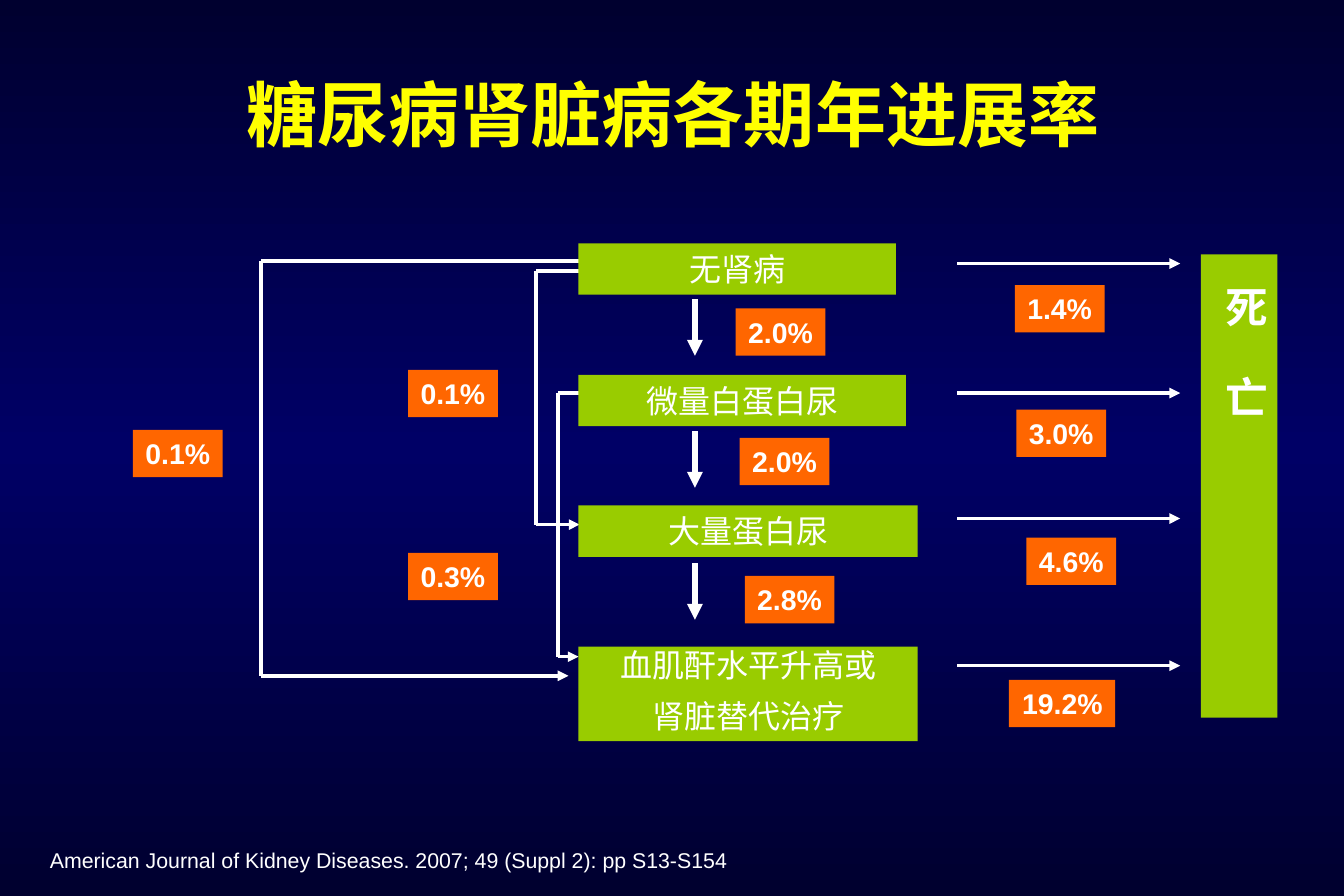
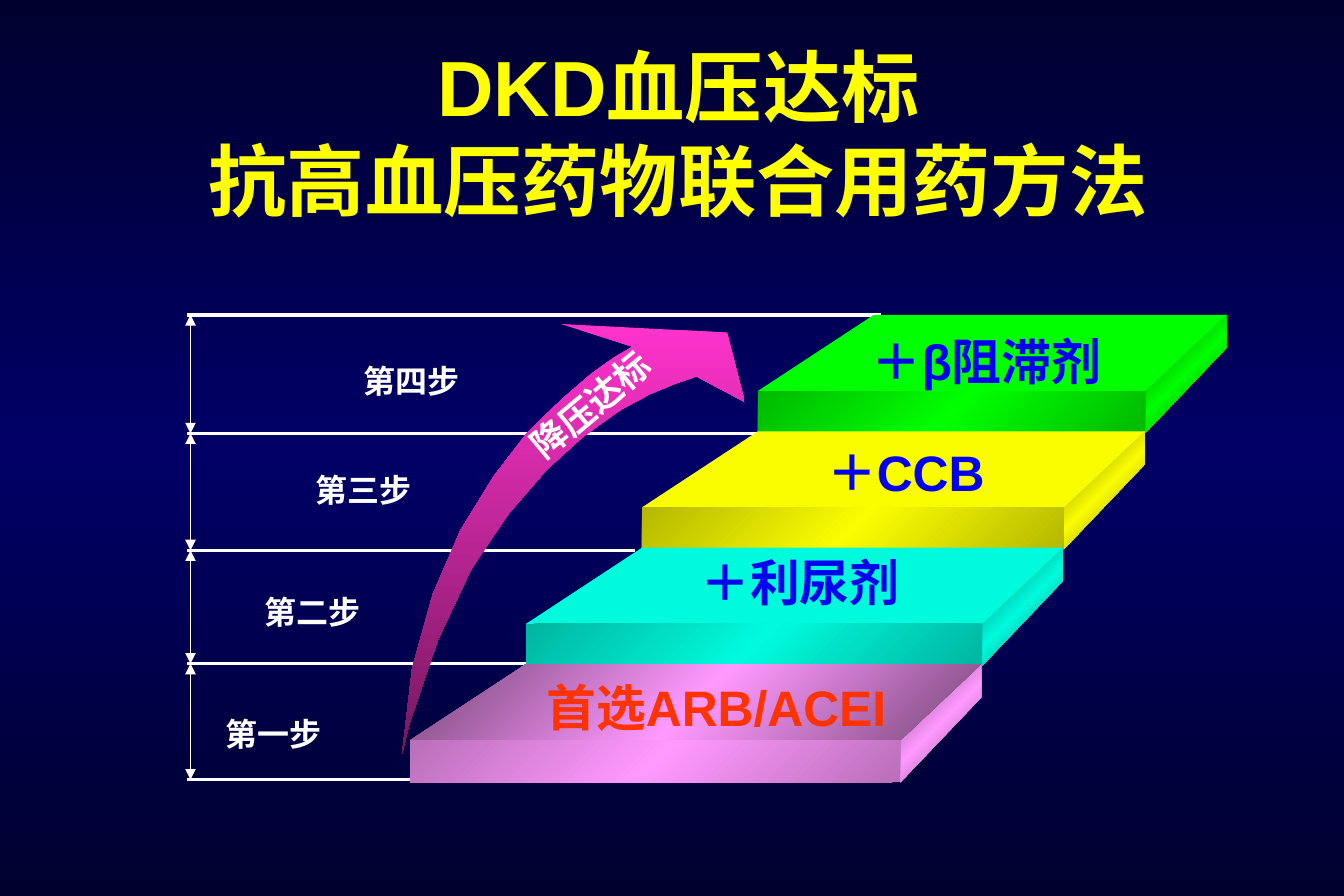
"""Build two slides on diabetic kidney disease: yearly progression and stepwise drug therapy."""
from copy import deepcopy

from lxml.etree import SubElement
from pptx import Presentation
from pptx.dml.color import RGBColor
from pptx.enum.shapes import MSO_CONNECTOR, MSO_SHAPE
from pptx.enum.text import MSO_ANCHOR, PP_ALIGN
from pptx.oxml.ns import qn
from pptx.util import Cm, Pt

HUES = {
    "night": "00002F", "navy": "000066", "white": "FFFFFF", "title": "FFFF00",
    "box": "99CC00", "badge": "FF6600", "first": "FF3300", "added": "0101EF",
    "arrow": "FF33CC", "plum": "76185E",
}
LEFT, MID, RIGHT = PP_ALIGN.LEFT, PP_ALIGN.CENTER, PP_ALIGN.RIGHT
FONTS = {
    "title": {"size": Pt(40), "bold": True},
    "large": {"size": Pt(44), "bold": True},
    "stage": {"size": Pt(18), "bold": False},
    "death": {"size": Pt(24), "bold": True},
    "badge": {"size": Pt(16), "bold": True},
    "note": {"size": Pt(12), "bold": False},
    "step": {"size": Pt(18), "bold": True},
    "drug": {"size": Pt(28), "bold": True},
    "goal": {"size": Pt(20), "bold": True},
}


def shade(fill, owner, hues, angle):
    """Fill with evenly spaced gradient stops, or with one solid colour."""
    if len(hues) == 1:
        fill.solid()
        fill.fore_color.rgb = RGBColor.from_string(hues[0])
        return
    fill.gradient()
    fill.gradient_angle = angle
    stops = owner.find(".//" + qn("a:gsLst"))
    for _ in hues[2:]:
        stops.append(deepcopy(stops[0]))
    for i, (stop, hue) in enumerate(zip(fill.gradient_stops, hues)):
        stop.color.rgb = RGBColor.from_string(hue)
        stop.position = i / (len(hues) - 1)


def write(slide, box, text, font, hue="white", align=MID, back=None):
    """Add a text box, or a filled box when a back colour is given."""
    place = [Cm(v) for v in box]
    if back:
        shape = slide.shapes.add_shape(MSO_SHAPE.RECTANGLE, *place)
        shape.shadow.inherit = False
        shade(shape.fill, shape.element, [HUES[back]], 0)
        shape.line.fill.background()
    else:
        shape = slide.shapes.add_textbox(*place)
    frame = shape.text_frame
    frame.word_wrap = True
    frame.vertical_anchor = MSO_ANCHOR.TOP
    frame.text = text
    for para in frame.paragraphs:
        para.alignment = align
        for run in para.runs:
            for key, value in {"name": "Arial", **FONTS[font]}.items():
                setattr(run.font, key, value)
            run.font.color.rgb = RGBColor.from_string(HUES[hue])
    return shape


deck = Presentation()
deck.slide_width, deck.slide_height = Cm(26.67), Cm(17.78)
rates, steps = [deck.slides.add_slide(deck.slide_layouts[6]) for _ in range(2)]
for slide in (rates, steps):
    shade(slide.background.fill, slide.element,
          [HUES["night"], HUES["navy"], HUES["night"]], 270)

blocks = [
    ("007600", "00FF00", "00B900"),
    ("747500", "FAFD00", "B5B800"),
    ("007466", "00FADC", "00B5A0"),
    ("764776", "FF99FF", "B96FB9"),
]
forms = []
for i, (dark, pure, dim) in enumerate(blocks):
    left, right, top = 15.04 - 2.3 * i, 22.73 - 1.62 * i, 6.25 + 2.31 * i
    edge, base, back = top + 1.51, top + 2.34, right + 1.6
    lid = [dark, pure, dark] if i == 3 else [pure]
    forms += [
        ([(back, top + 0.66), (right, base), (right, edge), (back, top)],
         [dark, pure, dark], 315),
        ([(right, edge), (left, edge), (left + 2.3, top), (back, top)], lid, 315),
        ([(left, edge), (right, edge), (right, base), (left, base)],
         [dim, pure, dim], 315),
    ]

lines = []
for x, top, bend, low, end in [
    (11.48, 5.18, 5.18, 13.41, 11.28),
    (11.48, 5.38, 10.64, 10.41, 11.5),
    (11.48, 7.8, 11.07, 13.03, 11.48),
]:
    lines += [
        (rates, x, top, bend, top, 2, ""),
        (rates, bend, top, bend, low, 2, ""),
        (rates, bend, low, end, low, 2, "tailEnd"),
    ]
for i in range(3):
    y = 5.94 + 2.62 * i
    lines.append((rates, 13.79, y, 13.79, y + 1.12, 3, "tailEnd"))
for y in (5.23, 7.8, 10.29, 13.21):
    lines.append((rates, 19, y, 23.42, y, 2, "tailEnd"))
levels = [6.25, 8.6, 10.92, 13.17, 15.47]
for top, low in zip(levels, levels[1:]):
    lines.append((steps, 3.78, top, 3.78, low, 0.75, "headEnd tailEnd"))
for y, end in zip(levels, (17.48, 15.06, 12.6, 10.57, 8.15)):
    lines.append((steps, 3.72, y, end, y, 0, ""))

curve = [
    (7.98, 14.96), (8.18, 13.26), (8.59, 11.79), (9.14, 10.52), (9.8, 9.45),
    (10.46, 8.59), (11.15, 7.92), (11.73, 7.42), (12.19, 7.09), (12.55, 6.88),
    (11.13, 6.43), (14.43, 6.6), (14.78, 7.98), (13.82, 7.47), (13.39, 7.62),
    (12.9, 7.82), (12.29, 8.15), (11.58, 8.66), (10.85, 9.32), (10.08, 10.21),
    (9.35, 11.3), (8.69, 12.7), (8.13, 14.35),
]

for slide, x, y, end, low, width, heads in lines:
    line = slide.shapes.add_connector(MSO_CONNECTOR.STRAIGHT, Cm(x), Cm(y), Cm(end), Cm(low))
    line.line.width = Pt(width)
    line.line.color.rgb = RGBColor.from_string(HUES["white"])
    for head in heads.split():
        SubElement(line.line._get_or_add_ln(), qn("a:" + head), type="triangle")
    SubElement(line.element.spPr, qn("a:effectLst"))

forms.append((curve, [HUES["arrow"], HUES["plum"]], 270))
for points, hues, angle in forms:
    spots = [(Cm(x), Cm(y)) for x, y in points]
    pen = steps.shapes.build_freeform(*spots[0], scale=1.0)
    pen.add_line_segments(spots[1:], close=True)
    form = pen.convert_to_shape()
    form.shadow.inherit = False
    shade(form.fill, form.element, hues, angle)
    form.line.fill.background()

write(rates, (0.58, 1.27, 25.55, 1.96), "糖尿病肾脏病各期年进展率", "title", "title")
for y, width, height, text in [
    (4.83, 6.3, 1.02, "无肾病"),
    (7.44, 6.5, 1.02, "微量白蛋白尿"),
    (10.03, 6.73, 1.02, "大量蛋白尿"),
    (12.83, 6.73, 1.88, "血肌酐水平升高或\n肾脏替代治疗"),
]:
    stage = write(rates, (11.48, y, width, height), text, "stage", back="box")
for para in stage.text_frame.paragraphs:
    para.line_spacing = 0.8
para.space_before = Pt(11.2)

death = write(rates, (23.83, 5.05, 1.52, 9.19), "死 亡", "death", back="box").text_frame
death._txBody.bodyPr.set("vert", "eaVert")
death.paragraphs[0].runs[0].font._element.set("spc", "1050")
for side, gap in {"left": 0.13, "right": 0.13, "top": 0.62, "bottom": 0.25}.items():
    setattr(death, "margin_" + side, Cm(gap))

for x, y, width, text in [
    (8.1, 7.34, 1.78, "0.1%"), (2.64, 8.53, 1.78, "0.1%"), (8.1, 10.97, 1.78, "0.3%"),
    (14.6, 6.12, 1.78, "2.0%"), (14.68, 8.69, 1.78, "2.0%"), (14.78, 11.43, 1.78, "2.8%"),
    (20.14, 5.66, 1.78, "1.4%"), (20.17, 8.13, 1.78, "3.0%"),
    (20.37, 10.67, 1.78, "4.6%"), (20.02, 13.49, 2.11, "19.2%"),
]:
    badge = write(rates, (x, y, width, 0.94), text, "badge", align=RIGHT, back="badge")
    badge.text_frame.word_wrap = False

note = write(rates, (0.74, 16.69, 21.41, 0.76),
             "American Journal of Kidney Diseases. 2007; 49 (Suppl 2): pp S13-S154",
             "note", align=LEFT)
note.text_frame.vertical_anchor = MSO_ANCHOR.MIDDLE

for x, y, text in [
    (6.96, 7.04, "第四步"), (6.02, 9.22, "第三步"),
    (5, 11.63, "第二步"), (4.22, 14.05, "第一步"),
]:
    write(steps, (x, y, 3.96, 1.02), text, "step", align=LEFT)
for x, y, width, text, hue in [
    (15.37, 6.43, 8.41, "＋β阻滞剂", "added"), (13.77, 8.64, 8.41, "＋CCB", "added"),
    (12.37, 10.82, 7.01, "＋利尿剂", "added"), (8.03, 13.31, 12.37, "首选ARB/ACEI", "first"),
]:
    write(steps, (x, y, width, 1.45), text, "drug", hue)
write(steps, (6.99, 7.47, 9.47, 1.12), "降压达标", "goal").rotation = 320.1

head = write(steps, (0.79, 1.52, 25.35, 2.97),
             "DKD血压达标\v抗高血压药物联合用药方法", "large", "title").text_frame
head.vertical_anchor = MSO_ANCHOR.BOTTOM
for side in ("left", "right", "top", "bottom"):
    setattr(head, "margin_" + side, Cm(0))

deck.save("out.pptx")
